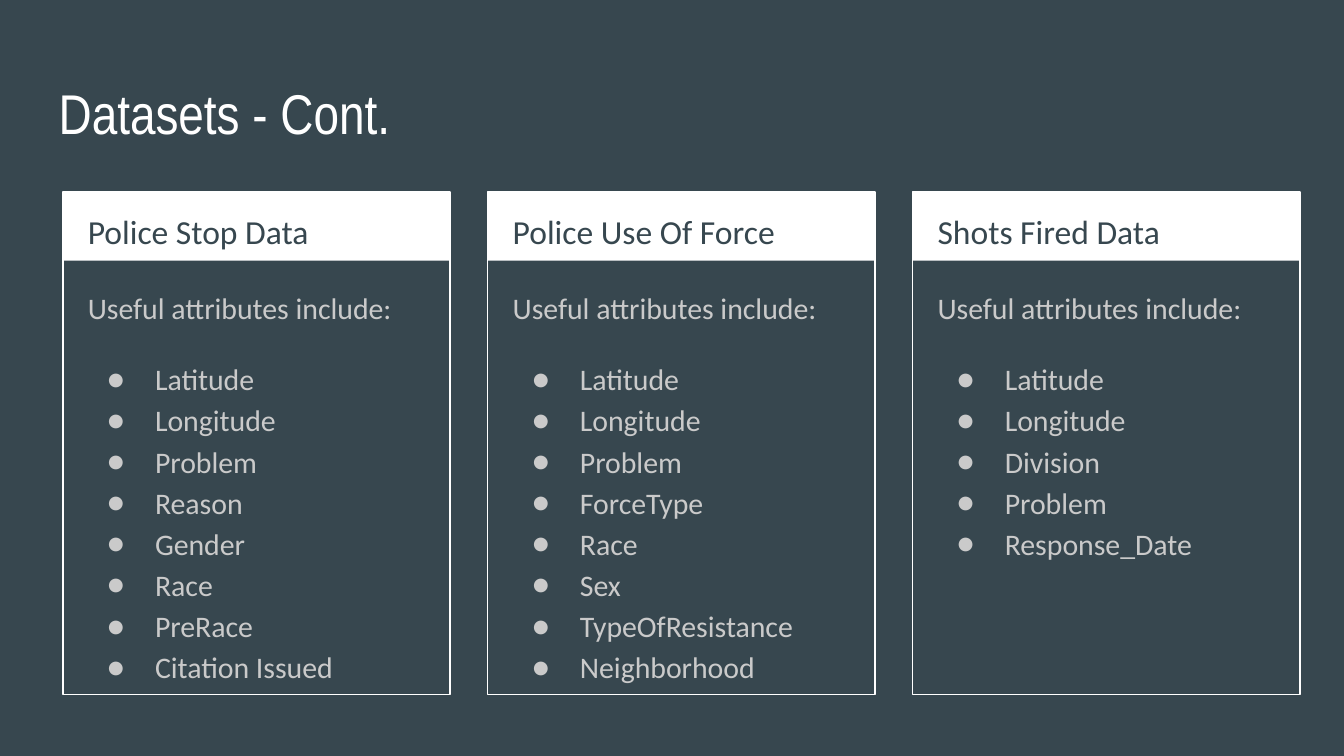
"""Build the slide that lists the useful attributes of three police datasets."""
from lxml.etree import SubElement
from pptx import Presentation
from pptx.dml.color import RGBColor
from pptx.enum.shapes import MSO_SHAPE as Shape
from pptx.enum.text import MSO_ANCHOR as Anchor, MSO_AUTO_SIZE as AutoSize, PP_ALIGN as Align
from pptx.oxml.ns import qn
from pptx.util import Cm, Pt

TITLE = "Datasets - Cont."
INTRO = "Useful attributes include:"
DATASETS = [
    ("Police Stop Data", ["Latitude", "Longitude", "Problem", "Reason", "Gender", "Race",
                          "PreRace", "Citation Issued"]),
    ("Police Use Of Force", ["Latitude", "Longitude", "Problem", "ForceType", "Race", "Sex",
                             "TypeOfResistance", "Neighborhood"]),
    ("Shots Fired Data", ["Latitude", "Longitude", "Division", "Problem", "Response_Date"]),
]

THEME = {
    "background": "37474F", "light": "FFFFFF", "muted": "CACACA",
    "title_font": "Arial Narrow", "body_font": "Calibri",
    "title_size": 30, "heading_size": 18, "body_size": 16,
    "line_width": 0.75, "line_spacing": 1.15,
}

CARD_LEFT, CARD_TOP, CARD_WIDTH, CARD_HEIGHT = 1.19, 3.63, 7.32, 9.5
CARD_PITCH = 8.03
HEADER_HEIGHT = 1.3
TEXT_MARGIN = 0.22
LIST_TOP, LIST_HEIGHT = 5.13, 7.77
INSET = 0.25
BULLET_INDENT, BULLET_HANG = 1.27, 0.91


def color(name):
    return RGBColor.from_string(THEME[name])


def place(shape, left, top, width, height):
    shape.left, shape.top, shape.width, shape.height = map(Cm, (left, top, width, height))


def prepare_frame(shape):
    frame = shape.text_frame
    frame.word_wrap = True
    frame.auto_size = AutoSize.NONE
    frame.vertical_anchor = Anchor.TOP
    frame.margin_left = frame.margin_right = Cm(INSET)
    frame.margin_top = frame.margin_bottom = Cm(INSET)
    return frame


def write(paragraph, text, font, size, text_color, line_spacing=1.0, space_before=0):
    paragraph.alignment = Align.LEFT
    paragraph.line_spacing = line_spacing
    paragraph.space_before = Pt(space_before)
    run = paragraph.add_run()
    run.text = text
    run.font.name = THEME[font]
    run.font.size = Pt(THEME[size])
    run.font.bold = False
    run.font.color.rgb = color(text_color)


def set_bullet(paragraph, bulleted):
    properties = paragraph._p.get_or_add_pPr()
    properties.set("marL", str(Cm(BULLET_INDENT) if bulleted else 0))
    properties.set("indent", str(-Cm(BULLET_HANG) if bulleted else 0))
    if bulleted:
        bullet_color = SubElement(properties, qn("a:buClr"))
        SubElement(bullet_color, qn("a:srgbClr"), val=THEME["muted"])
        SubElement(properties, qn("a:buFont"), typeface=THEME["body_font"])
        SubElement(properties, qn("a:buChar"), char="●")
    else:
        SubElement(properties, qn("a:buNone"))


def add_card(slide, left):
    group = slide.shapes.add_group_shape()
    header, outline = [
        group.shapes.add_shape(Shape.RECTANGLE, *map(Cm, (left, CARD_TOP, CARD_WIDTH, height)))
        for height in (HEADER_HEIGHT, CARD_HEIGHT)
    ]
    header.shadow.inherit = outline.shadow.inherit = False
    header.fill.solid()
    header.fill.fore_color.rgb = color("light")
    header.line.fill.background()
    outline.fill.background()
    outline.line.color.rgb = color("light")
    outline.line.width = Pt(THEME["line_width"])


def add_heading(slide, text, left, width):
    box = slide.shapes.add_textbox(*map(Cm, (left, CARD_TOP, width, HEADER_HEIGHT)))
    write(prepare_frame(box).paragraphs[0], text, "body_font", "heading_size", "background",
          THEME["line_spacing"])


def fill_list(placeholder, attributes, left, width):
    place(placeholder, left, LIST_TOP, width, LIST_HEIGHT)
    frame = prepare_frame(placeholder)
    for index, text in enumerate([INTRO, *attributes]):
        paragraph = frame.add_paragraph() if index else frame.paragraphs[0]
        write(paragraph, text, "body_font", "body_size", "muted", THEME["line_spacing"],
              THEME["body_size"] if index == 1 else 0)
        set_bullet(paragraph, index > 0)


def main():
    presentation = Presentation()
    presentation.slide_width, presentation.slide_height = Cm(25.4), Cm(14.29)
    comparison_layout = presentation.slide_layouts[4]
    slide = presentation.slides.add_slide(comparison_layout)
    slide.background.fill.solid()
    slide.background.fill.fore_color.rgb = color("background")

    title, *bodies = slide.placeholders
    place(title, 0.86, 1.24, 23.67, 1.6)
    write(prepare_frame(title).paragraphs[0], TITLE, "title_font", "title_size", "light")

    text_width = CARD_WIDTH - 2 * TEXT_MARGIN
    for column, (heading, attributes) in enumerate(DATASETS):
        card_left = CARD_LEFT + column * CARD_PITCH
        add_card(slide, card_left)
        add_heading(slide, heading, card_left + TEXT_MARGIN, text_width)
        fill_list(bodies[column], attributes, card_left + TEXT_MARGIN, text_width)

    for unused in bodies[len(DATASETS):]:
        unused.element.getparent().remove(unused.element)
    presentation.save("out.pptx")


if __name__ == "__main__":
    main()
